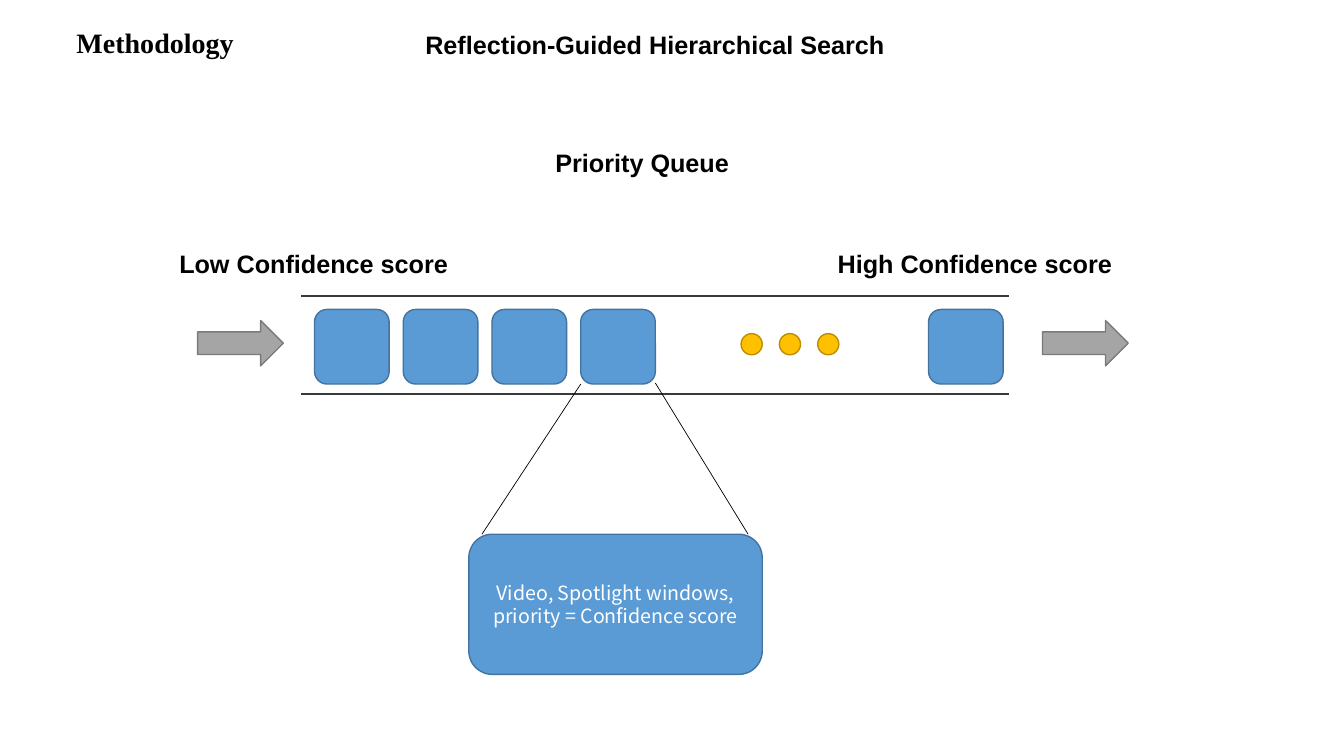
from dataclasses import dataclass
from typing import NamedTuple

from lxml import etree
from pptx import Presentation
from pptx.dml.color import RGBColor
from pptx.enum.shapes import MSO_CONNECTOR, MSO_SHAPE
from pptx.enum.text import MSO_ANCHOR, MSO_AUTO_SIZE, PP_ALIGN
from pptx.oxml.ns import qn
from pptx.util import Emu, Pt

ROUND = MSO_SHAPE.ROUNDED_RECTANGLE
ARROW = MSO_SHAPE.RIGHT_ARROW
OVAL = MSO_SHAPE.OVAL
STRAIGHT = MSO_CONNECTOR.STRAIGHT
MIDDLE = MSO_ANCHOR.MIDDLE
CENTER = PP_ALIGN.CENTER
GROW = MSO_AUTO_SIZE.SHAPE_TO_FIT_TEXT
SCALE = 9144


class Paint(NamedTuple):
    fill: str
    edge: str


class Face(NamedTuple):
    name: str
    size: int
    bold: bool
    color: str


@dataclass(frozen=True)
class Theme:
    node: Paint = Paint("5B9BD5", "43739E")
    flow: Paint = Paint("A5A5A5", "7A7A7A")
    dot: Paint = Paint("FFC000", "BD8E00")
    title: Face = Face("Times New Roman", 20, True, "000000")
    label: Face = Face("Arial", 18, True, "000000")
    note: Face = Face("Noto Sans CJK KR", 14, False, "FFFFFF")
    rail: str = "3B3838"
    zoom: str = "000000"
    edge: float = 1
    thick: float = 1.5
    thin: float = 0.5


class Box(NamedTuple):
    left: int
    top: int
    width: int
    height: int


@dataclass(frozen=True)
class Label:
    text: str
    box: Box
    face: Face
    wrap: bool = True


@dataclass(frozen=True)
class Block:
    kind: int
    box: Box
    paint: Paint
    text: str = ""


@dataclass(frozen=True)
class Line:
    start: tuple[int, int]
    end: tuple[int, int]
    color: str
    width: float


def px(value: int) -> Emu:
    return Emu(value * SCALE)


def rgb(code: str) -> RGBColor:
    return RGBColor.from_string(code)


def write(frame, text: str, face: Face) -> None:
    para = frame.paragraphs[0]
    para.text = text
    para.font.name = face.name
    para.font.size = Pt(face.size)
    para.font.bold = face.bold
    para.font.color.rgb = rgb(face.color)


def draw_label(slide, label: Label) -> None:
    frame = slide.shapes.add_textbox(*map(px, label.box)).text_frame
    frame.word_wrap = label.wrap
    frame.auto_size = GROW
    write(frame, label.text, label.face)


def draw_block(slide, block: Block, theme: Theme) -> None:
    shape = slide.shapes.add_shape(block.kind, *map(px, block.box))
    shape.shadow.inherit = False
    shape.fill.solid()
    shape.fill.fore_color.rgb = rgb(block.paint.fill)
    shape.line.color.rgb = rgb(block.paint.edge)
    shape.line.width = Pt(theme.edge)
    if block.text:
        frame = shape.text_frame
        frame.word_wrap = True
        frame.vertical_anchor = MIDDLE
        write(frame, block.text, theme.note)
        frame.paragraphs[0].alignment = CENTER


def draw_line(slide, line: Line) -> None:
    link = slide.shapes.add_connector(STRAIGHT, *map(px, line.start + line.end))
    link.line.color.rgb = rgb(line.color)
    link.line.width = Pt(line.width)
    etree.SubElement(link._element.spPr, qn("a:effectLst"))


def main() -> None:
    theme = Theme()
    deck = Presentation()
    deck.slide_width, deck.slide_height = px(1333), px(750)
    slide = deck.slides.add_slide(deck.slide_layouts[6])

    labels = [
        Label("Reflection-Guided Hierarchical Search", Box(412, 24, 600, 40), theme.label),
        Label("Methodology", Box(66, 20, 177, 44), theme.title, False),
        Label("Priority Queue", Box(541, 141, 205, 40), theme.label),
        Label("High Confidence score", Box(821, 241, 306, 40), theme.label),
        Label("Low Confidence score", Box(168, 241, 306, 40), theme.label),
    ]
    rails = [Line((299, y), (1001, y), theme.rail, theme.thick) for y in (294, 391)]
    slots = [312 + 88 * i for i in range(4)] + [921]
    blocks = [Block(ROUND, Box(x, 307, 74, 74), theme.node) for x in slots]
    blocks += [Block(ARROW, Box(x, 318, 85, 45), theme.flow) for x in (196, 1034)]
    blocks += [Block(OVAL, Box(735 + 38 * i, 331, 21, 21), theme.dot) for i in range(3)]
    zooms = [
        Line((576, 381), (478, 530), theme.zoom, theme.thin),
        Line((650, 380), (742, 530), theme.zoom, theme.thin),
    ]
    note = Block(
        ROUND,
        Box(465, 530, 291, 139),
        theme.node,
        "Video, Spotlight windows, priority = Confidence score",
    )

    for rail in rails:
        draw_line(slide, rail)
    for block in blocks:
        draw_block(slide, block, theme)
    for zoom in zooms:
        draw_line(slide, zoom)
    draw_block(slide, note, theme)
    for label in labels:
        draw_label(slide, label)

    deck.save("out.pptx")


if __name__ == "__main__":
    main()
